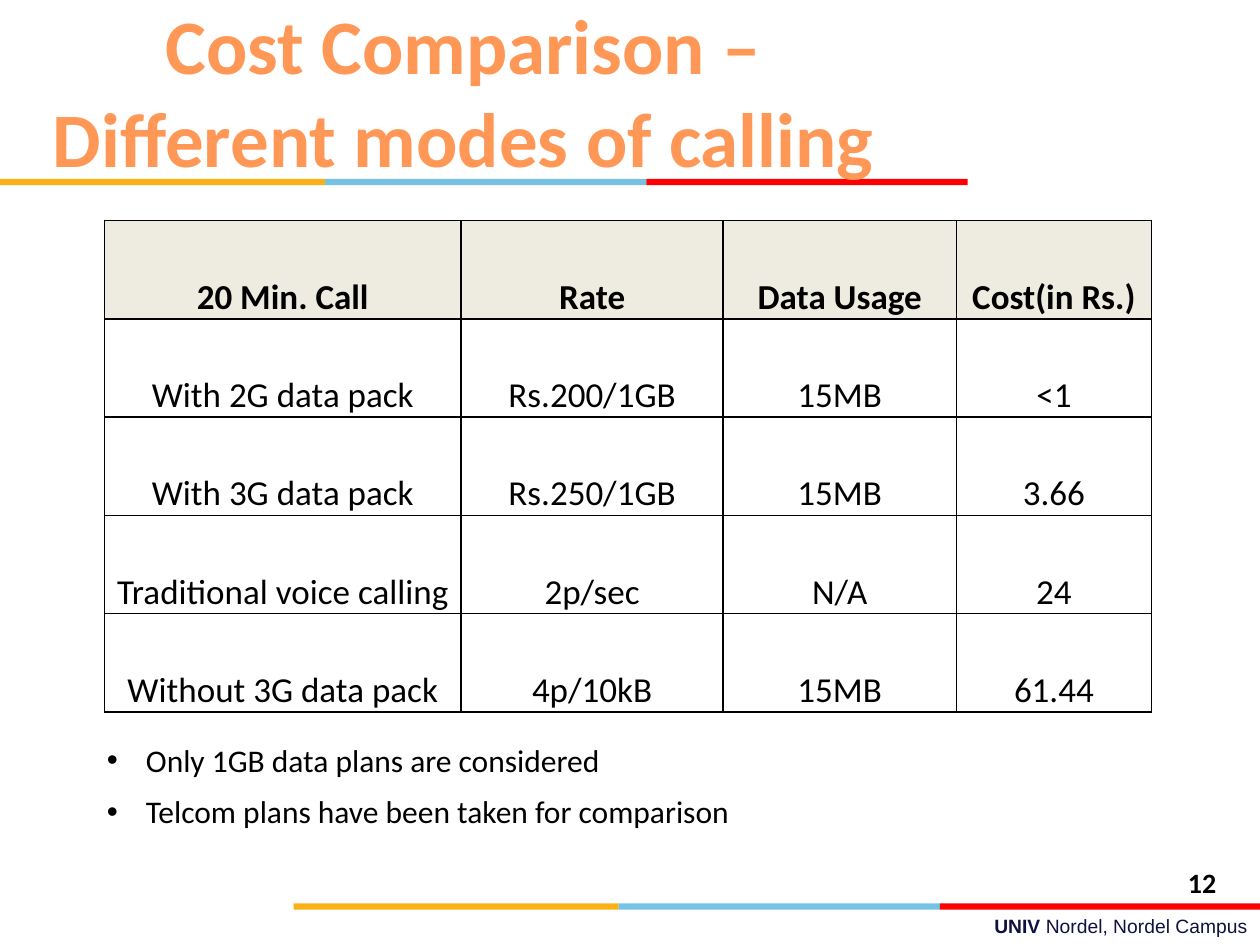
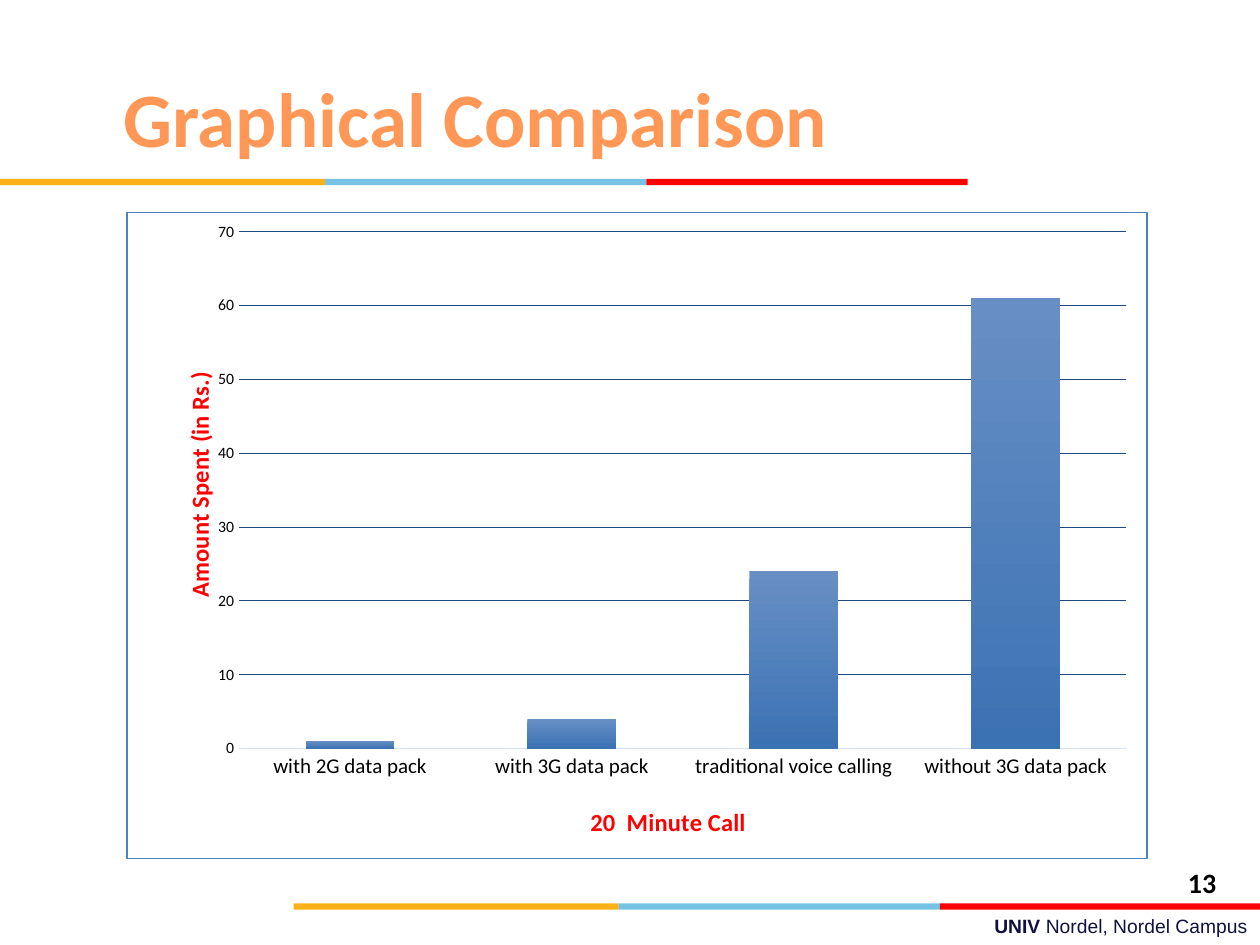
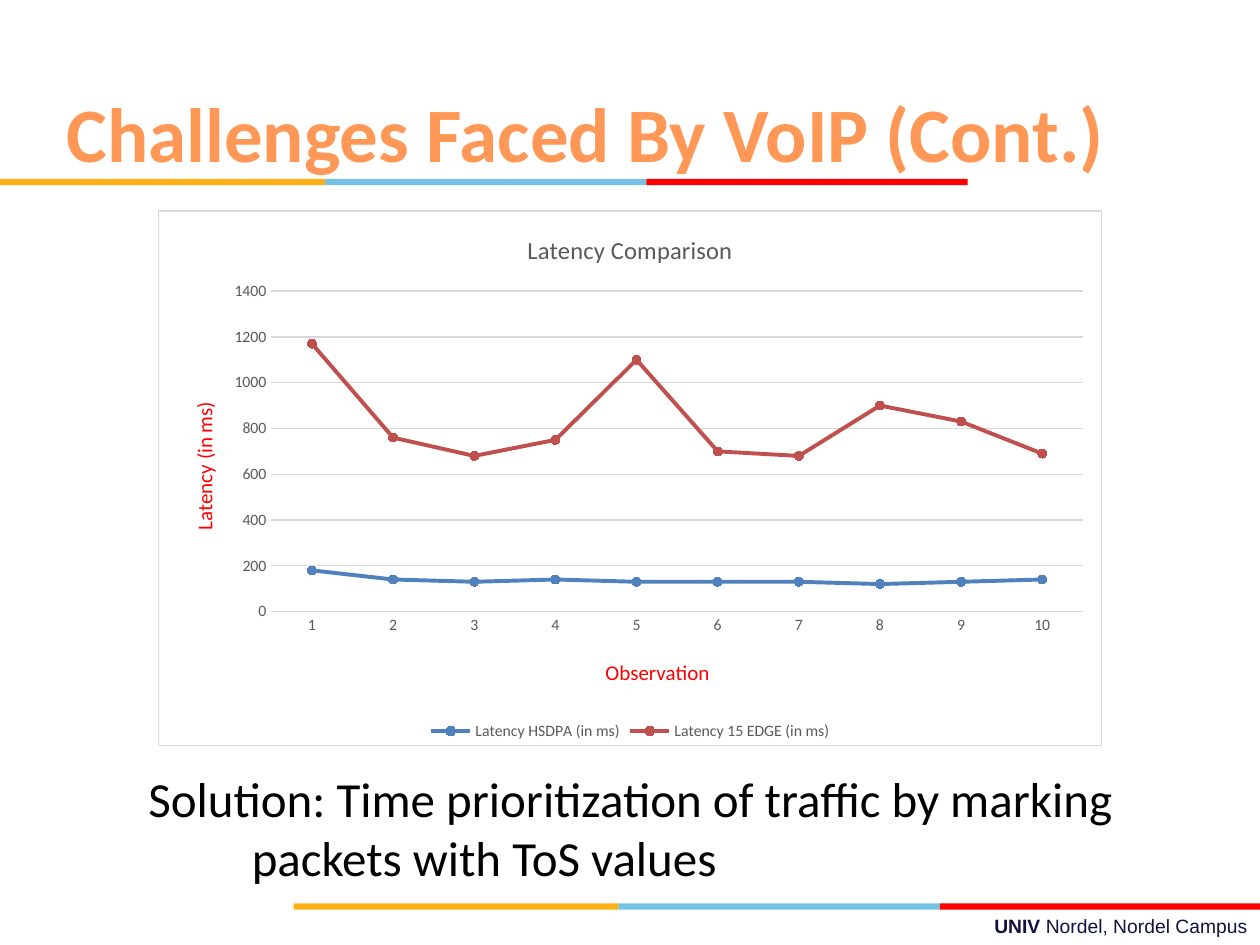
import pptx
import pptx.chart.data
import pptx.dml.color
import pptx.enum.chart
import pptx.enum.shapes
import pptx.enum.text
import pptx.oxml
import pptx.oxml.ns
import pptx.oxml.xmlchemy
import pptx.util
from dataclasses import dataclass

Inches, Pt = pptx.util.Inches, pptx.util.Pt
qn, new_element = pptx.oxml.ns.qn, pptx.oxml.xmlchemy.OxmlElement
ALIGN, ANCHOR = pptx.enum.text.PP_ALIGN, pptx.enum.text.MSO_ANCHOR
CHART = pptx.enum.chart.XL_CHART_TYPE


@dataclass(frozen=True)
class Theme:
    font: str = "Calibri"
    footer_font: str = "Arial"
    title: str = "FF9856"
    text: str = "000000"
    footer: str = "101141"
    white: str = "FFFFFF"
    header_fill: str = "EEECE1"
    accent: str = "FF0000"
    muted: str = "595959"
    pale: str = "D9D9D9"
    blue: str = "4F81BD"
    red: str = "C0504D"
    title_size: int = 44
    solution_size: int = 28
    table_size: int = 20
    note_size: int = 18
    number_size: int = 16
    footer_size: int = 11


THEME = Theme()

BAND = [("FCB017", 2.58), ("76C2E5", 2.55), ("FF0000", 2.55)]
BAND_STARTS = [(0, 1.42), (2.33, 7.17)]
BAND_HEIGHT = 0.05
FOOTER = [("UNIV ", True), ("Nordel, Nordel Campus", False)]

COSTS = [
    ("20 Min. Call", "Rate", "Data Usage", "Cost(in Rs.)"),
    ("With 2G data pack", "Rs.200/1GB", "15MB", "<1"),
    ("With 3G data pack", "Rs.250/1GB", "15MB", "3.66"),
    ("Traditional voice calling", "2p/sec", "N/A", "24"),
    ("Without 3G data pack", "4p/10kB", "15MB", "61.44"),
]
COST_COLUMNS = [2.83, 2.08, 1.85, 1.55]
COST_ROW = 0.78
NOTES = ["Only 1GB data plans are considered",
         "Telcom plans have been taken for comparison"]
SOLUTION = "Solution: Time prioritization of traffic by marking packets with ToS values"

# Layout boxes are fractions of the chart area.
SPENDING = dict(
    kind=CHART.COLUMN_CLUSTERED, box=(1, 1.68, 8.11, 5.14), border=(THEME.blue, 1),
    categories=["with 2G data pack", "with 3G data pack",
                "traditional voice calling", "without 3G data pack"],
    series={"Series 1": [1, 4, 24, 61]},
    plot=(0.11, 0.03, 0.87, 0.8),
    x=dict(title="20  Minute Call", at=(0.45, 0.91), size=12, line="D4E3F4"),
    y=dict(title="Amount Spent (in Rs.)", at=(0.05, 0.24), size=9,
           top=70, step=10, grid=("1F497D", 0.5)),
    title_size=14, title_bold=True, labels=THEME.text,
)
LATENCY = dict(
    kind=CHART.LINE_MARKERS, box=(1.25, 1.67, 7.5, 4.25), border=(THEME.pale, 0.75),
    categories=[str(n) for n in range(1, 11)],
    series={
        "Latency HSDPA (in ms)": [180, 140, 130, 140, 130, 130, 130, 120, 130, 140],
        "Latency 15 EDGE (in ms)": [1170, 760, 680, 750, 1100, 700, 680, 900, 830, 690],
    },
    plot=(0.12, 0.15, 0.86, 0.6),
    x=dict(title="Observation", at=(0.47, 0.83), size=9, line=THEME.pale),
    y=dict(title="Latency (in ms)", at=(0.03, 0.35), size=9,
           top=1400, step=200, grid=(THEME.pale, 0.75)),
    title_size=12, title_bold=False, labels=THEME.muted,
)


def rgb(color):
    return pptx.dml.color.RGBColor.from_string(color)


def style(font, size, color, bold=False, name=THEME.font):
    font.size, font.bold, font.name = Pt(size), bold, name
    font.color.rgb = rgb(color)


def set_line(line, color, width):
    line.color.rgb = rgb(color)
    line.width = Pt(width)


def add_text(slide, box, text, size, color=THEME.text, bold=False,
             align=ALIGN.LEFT, anchor=ANCHOR.TOP, wrap=True):
    frame = slide.shapes.add_textbox(*map(Inches, box)).text_frame
    frame.word_wrap, frame.vertical_anchor = wrap, anchor
    frame.text = text
    paragraph = frame.paragraphs[0]
    paragraph.alignment = align
    style(paragraph.runs[0].font, size, color, bold)
    return paragraph


def hang(paragraph, indent, bullet=None):
    """Indent all lines but the first, with an optional bullet."""
    props = paragraph._p.get_or_add_pPr()
    props.set("marL", str(Inches(indent)))
    props.set("indent", str(-Inches(indent)))
    if bullet:
        for tag, key, value in (("a:buFont", "typeface", THEME.footer_font),
                                ("a:buChar", "char", bullet)):
            child = new_element(tag)
            child.set(key, value)
            props.append(child)


def add_title(slide, text, box, align=ALIGN.CENTER):
    add_text(slide, box, text, THEME.title_size, THEME.title, True, align, ANCHOR.MIDDLE)


def start_slide(deck, number=None):
    """Add a slide with the shared bands, footer and optional page number."""
    slide = deck.slides.add_slide(deck.slide_layouts[6])
    for left, top in BAND_STARTS:
        for color, width in BAND:
            stripe = slide.shapes.add_shape(
                pptx.enum.shapes.MSO_SHAPE.RECTANGLE,
                *map(Inches, (left, top, width, BAND_HEIGHT)))
            stripe.shadow.inherit = False
            stripe.fill.solid()
            stripe.fill.fore_color.rgb = rgb(color)
            stripe.line.fill.background()
            left += width
    frame = slide.shapes.add_textbox(*map(Inches, (3.58, 7.21, 6.42, 0.29))).text_frame
    frame.word_wrap = True
    footer = frame.paragraphs[0]
    footer.alignment = ALIGN.RIGHT
    for words, bold in FOOTER:
        run = footer.add_run()
        run.text = words
        style(run.font, THEME.footer_size, THEME.footer, bold, THEME.footer_font)
    if number:
        add_text(slide, (9.33, 6.82, 0.67, 0.32), str(number), THEME.number_size, bold=True)
    return slide


def outline(cell):
    props = cell._tc.get_or_add_tcPr()
    for position, side in enumerate(("a:lnL", "a:lnR", "a:lnT", "a:lnB")):
        edge = new_element(side)
        edge.set("w", str(Pt(1)))
        fill = new_element("a:solidFill")
        color = new_element("a:srgbClr")
        color.set("val", THEME.text)
        fill.append(color)
        edge.append(fill)
        props.insert(position, edge)


def add_costs(slide):
    size = sum(COST_COLUMNS), COST_ROW * len(COSTS)
    table = slide.shapes.add_table(len(COSTS), len(COST_COLUMNS),
                                   *map(Inches, (0.83, 1.75, *size))).table
    table.horz_banding = table.first_row = False
    for column, width in zip(table.columns, COST_COLUMNS):
        column.width = Inches(width)
    for r, row in enumerate(COSTS):
        table.rows[r].height = Inches(COST_ROW)
        for c, text in enumerate(row):
            cell = table.cell(r, c)
            cell.margin_left = cell.margin_right = cell.margin_top = Inches(0.01)
            cell.margin_bottom = 0
            cell.vertical_anchor = ANCHOR.BOTTOM
            cell.text_frame.text = text
            paragraph = cell.text_frame.paragraphs[0]
            paragraph.alignment = ALIGN.CENTER
            style(paragraph.runs[0].font, THEME.table_size, THEME.text, bold=r == 0)
            if r == 0:
                cell.fill.solid()
                cell.fill.fore_color.rgb = rgb(THEME.header_fill)
            else:
                cell.fill.background()
            outline(cell)


def place(host, *box, inner=False):
    """Fix a chart part at x, y and, if given, width and height."""
    layout = host.find(qn("c:layout"))
    if layout is None:
        layout = new_element("c:layout")
        host.insert(0, layout)
    manual = new_element("c:manualLayout")
    layout.append(manual)
    settings = [("layoutTarget", "inner")] if inner else []
    settings += [("xMode", "edge"), ("yMode", "edge"), *zip("xywh", box)]
    for tag, value in settings:
        child = new_element(f"c:{tag}")
        child.set("val", str(value))
        manual.append(child)


def frame_chart(chart, color, width):
    """Give the chart area a white fill and a border."""
    area = pptx.oxml.parse_xml(
        f'<c:spPr {pptx.oxml.ns.nsdecls("c", "a")}>'
        f'<a:solidFill><a:srgbClr val="{THEME.white}"/></a:solidFill>'
        f'<a:ln w="{Pt(width)}"><a:solidFill><a:srgbClr val="{color}"/></a:solidFill></a:ln>'
        '</c:spPr>')
    chart._chartSpace.find(qn("c:chart")).addnext(area)


def add_chart(slide, content):
    chart_data = pptx.chart.data.CategoryChartData()
    chart_data.categories = content["categories"]
    for name, values in content["series"].items():
        chart_data.add_series(name, values)
    chart = slide.shapes.add_chart(content["kind"], *map(Inches, content["box"]),
                                   chart_data).chart
    style(chart.font, 10, THEME.text)
    frame_chart(chart, *content["border"])
    chart.has_title = chart.has_legend = False
    place(chart._chartSpace.find(qn("c:chart")).find(qn("c:plotArea")),
          *content["plot"], inner=True)
    for axis, look in ((chart.category_axis, content["x"]), (chart.value_axis, content["y"])):
        axis.major_tick_mark = axis.minor_tick_mark = pptx.enum.chart.XL_TICK_MARK.NONE
        style(axis.tick_labels.font, look["size"], content["labels"])
        heading = axis.axis_title
        heading.text_frame.text = look["title"]
        style(heading.text_frame.paragraphs[0].runs[0].font, content["title_size"],
              THEME.accent, content["title_bold"])
        place(heading._element, *look["at"])
    set_line(chart.category_axis.format.line, content["x"]["line"], 0.75)
    scale = chart.value_axis
    scale.format.line.fill.background()
    scale.minimum_scale, scale.maximum_scale = 0, content["y"]["top"]
    scale.major_unit = content["y"]["step"]
    set_line(scale.major_gridlines.format.line, *content["y"]["grid"])
    return chart


def add_spending(slide):
    plot = add_chart(slide, SPENDING).plots[0]
    plot.gap_width, plot.vary_by_categories = 150, False
    fill = plot.series[0].format.fill
    fill.gradient()
    fill.gradient_angle = 270
    for stop, color in zip(fill.gradient_stops, ("688FC5", "3B72B3")):
        stop.color.rgb = rgb(color)


def add_latency(slide):
    chart = add_chart(slide, LATENCY)
    chart.has_title = True
    chart.chart_title.text_frame.text = "Latency Comparison"
    style(chart.chart_title.text_frame.paragraphs[0].runs[0].font, 14, THEME.muted)
    chart.has_legend = True
    chart.legend.position = pptx.enum.chart.XL_LEGEND_POSITION.BOTTOM
    chart.legend.include_in_layout = False
    style(chart.legend.font, 9, THEME.muted)
    chart.plots[0].vary_by_categories = False
    for series, color in zip(chart.plots[0].series, (THEME.blue, THEME.red)):
        series.smooth = False
        set_line(series.format.line, color, 2.25)
        marker = series.marker
        marker.style, marker.size = pptx.enum.chart.XL_MARKER_STYLE.CIRCLE, 5
        marker.format.fill.solid()
        marker.format.fill.fore_color.rgb = rgb(color)
        set_line(marker.format.line, color, 0.75)


def main():
    deck = pptx.Presentation()
    deck.slide_width, deck.slide_height = Inches(10), Inches(7.5)

    costs = start_slide(deck, 12)
    add_title(costs, "Cost Comparison – Different modes of calling", (0.19, 0.25, 6.98, 0.93))
    add_costs(costs)
    for i, note in enumerate(NOTES):
        hang(add_text(costs, (0.75, 5.83 + 0.41 * i, 5.15, 0.4), note,
                      THEME.note_size, wrap=False), 0.31, "•")

    spending = start_slide(deck, 13)
    add_title(spending, "Graphical Comparison", (0.43, 0.46, 6.69, 0.93))
    add_spending(spending)

    latency = start_slide(deck)
    add_latency(latency)
    hang(add_text(latency, (1.08, 6.05, 8.5, 1.05), SOLUTION, THEME.solution_size), 0.82)
    add_title(latency, "Challenges Faced By VoIP (Cont.)", (0.43, 0.58, 8.48, 0.93), ALIGN.LEFT)

    deck.save("out.pptx")


if __name__ == "__main__":
    main()
